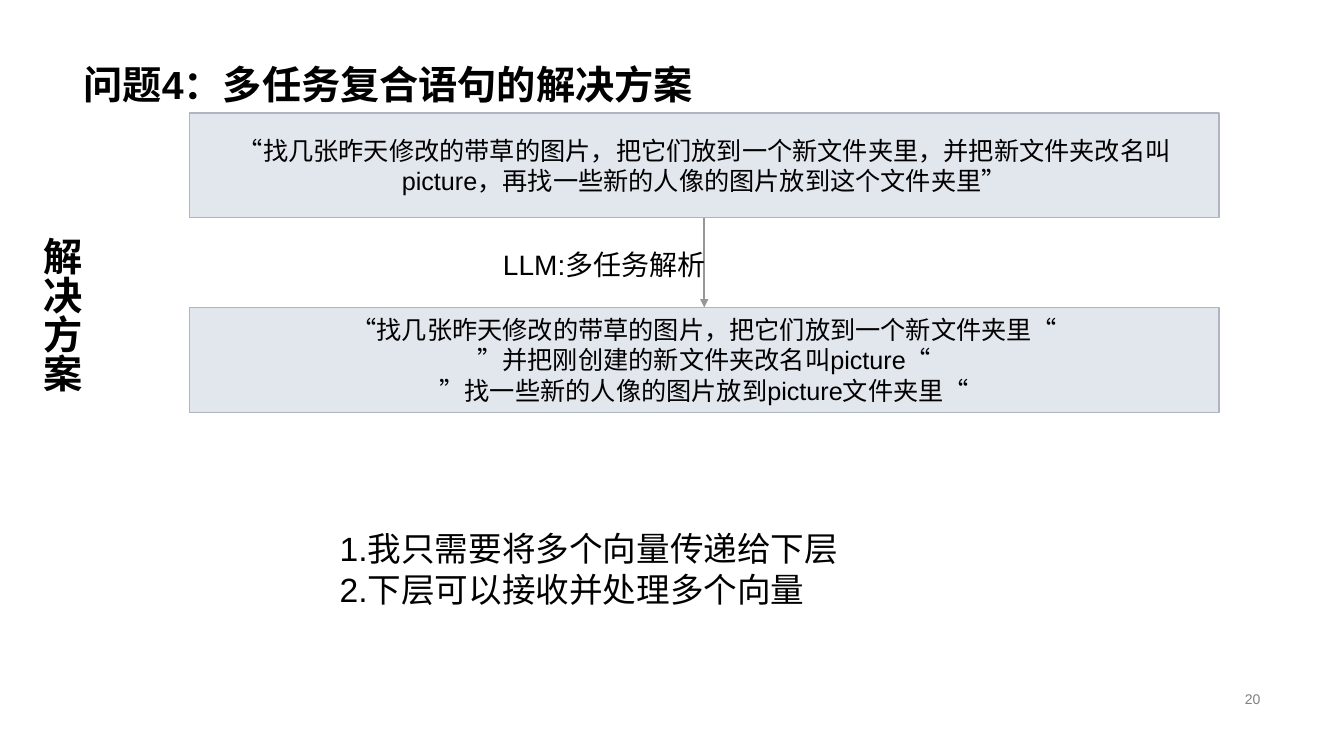
from lxml import etree
from pptx import Presentation
from pptx.dml.color import RGBColor
from pptx.enum.shapes import MSO_CONNECTOR, MSO_SHAPE
from pptx.enum.text import MSO_ANCHOR, MSO_AUTO_SIZE, PP_ALIGN
from pptx.oxml.ns import qn
from pptx.util import Inches, Pt


def color(hex_text):
    return RGBColor.from_string(hex_text)


def write(shape, lines, size, align=PP_ALIGN.LEFT, anchor=MSO_ANCHOR.TOP,
          bold=False, ink="000000", wrap=True):
    frame = shape.text_frame
    frame.text = "\n".join(lines)
    frame.word_wrap = wrap
    frame.auto_size = MSO_AUTO_SIZE.NONE
    frame.vertical_anchor = anchor
    for paragraph in frame.paragraphs:
        paragraph.alignment = align
        paragraph.font.name = "Arial"
        paragraph.font.size = Pt(size)
        paragraph.font.bold = bold
        paragraph.font.color.rgb = color(ink)
    return frame


presentation = Presentation()
presentation.slide_width = Inches(13.33)
presentation.slide_height = Inches(7.5)
slide = presentation.slides.add_slide(presentation.slide_layouts[5])
shapes = slide.shapes

# Title
title = shapes.title
title.left, title.top = Inches(0.73), Inches(0)
title.width, title.height = Inches(11.87), Inches(1.12)
title_frame = write(title, ["问题4：多任务复合语句的解决方案"], 28,
                    anchor=MSO_ANCHOR.BOTTOM, bold=True)
title_frame.paragraphs[0].line_spacing = 0.9

# Compound request above, parsed tasks below
box_left, box_width, box_height = 1.88, 10.21, 1.04
request_top, tasks_top = 1.12, 3.05
boxes = [
    (request_top, ["“找几张昨天修改的带草的图片，把它们放到一个新文件夹里，"
                   "并把新文件夹改名叫picture，再找一些新的人像的图片放到这个文件夹里”"]),
    (tasks_top, ["“找几张昨天修改的带草的图片，把它们放到一个新文件夹里“",
                 "”并把刚创建的新文件夹改名叫picture“",
                 "”找一些新的人像的图片放到picture文件夹里“"]),
]
for top, lines in boxes:
    box = shapes.add_shape(MSO_SHAPE.RECTANGLE, Inches(box_left), Inches(top),
                           Inches(box_width), Inches(box_height))
    box.shadow.inherit = False
    box.fill.solid()
    box.fill.fore_color.rgb = color("E2E6ED")
    box.line.color.rgb = color("AEB5C0")
    box.line.width = Pt(1)
    write(box, lines, 18, PP_ALIGN.CENTER, MSO_ANCHOR.MIDDLE)

# Arrow between the boxes
middle = Inches(box_left + box_width / 2)
arrow = shapes.add_connector(MSO_CONNECTOR.STRAIGHT,
                             middle, Inches(request_top + box_height),
                             middle, Inches(tasks_top))
arrow.line.color.rgb = color("979797")
arrow.line.width = Pt(1.5)
etree.SubElement(arrow.line._get_or_add_ln(), qn("a:tailEnd"), type="triangle")
etree.SubElement(arrow._element.spPr, qn("a:effectLst"))

# Vertical heading
heading = shapes.add_textbox(Inches(0.39), Inches(2.25), Inches(0.5), Inches(4.54))
heading_frame = write(heading, ["解决方案"], 28, bold=True, wrap=False)
heading_frame._txBody.bodyPr.set("vert", "eaVert")

# Arrow label and conclusions
notes = [
    (4.89, 2.41, 2.25, 0.4, 20, ["LLM:多任务解析"]),
    (3.27, 5.19, 8.69, 1.6, 24, ["1.我只需要将多个向量传递给下层",
                                 "2.下层可以接收并处理多个向量"]),
]
for left, top, width, height, size, lines in notes:
    note = shapes.add_textbox(Inches(left), Inches(top), Inches(width), Inches(height))
    write(note, lines, size, wrap=False)

# Page number
page_number = shapes.add_textbox(Inches(9.42), Inches(6.82), Inches(3.18), Inches(0.23))
write(page_number, ["20"], 10, PP_ALIGN.RIGHT, MSO_ANCHOR.MIDDLE, ink="808080")

presentation.save("out.pptx")
